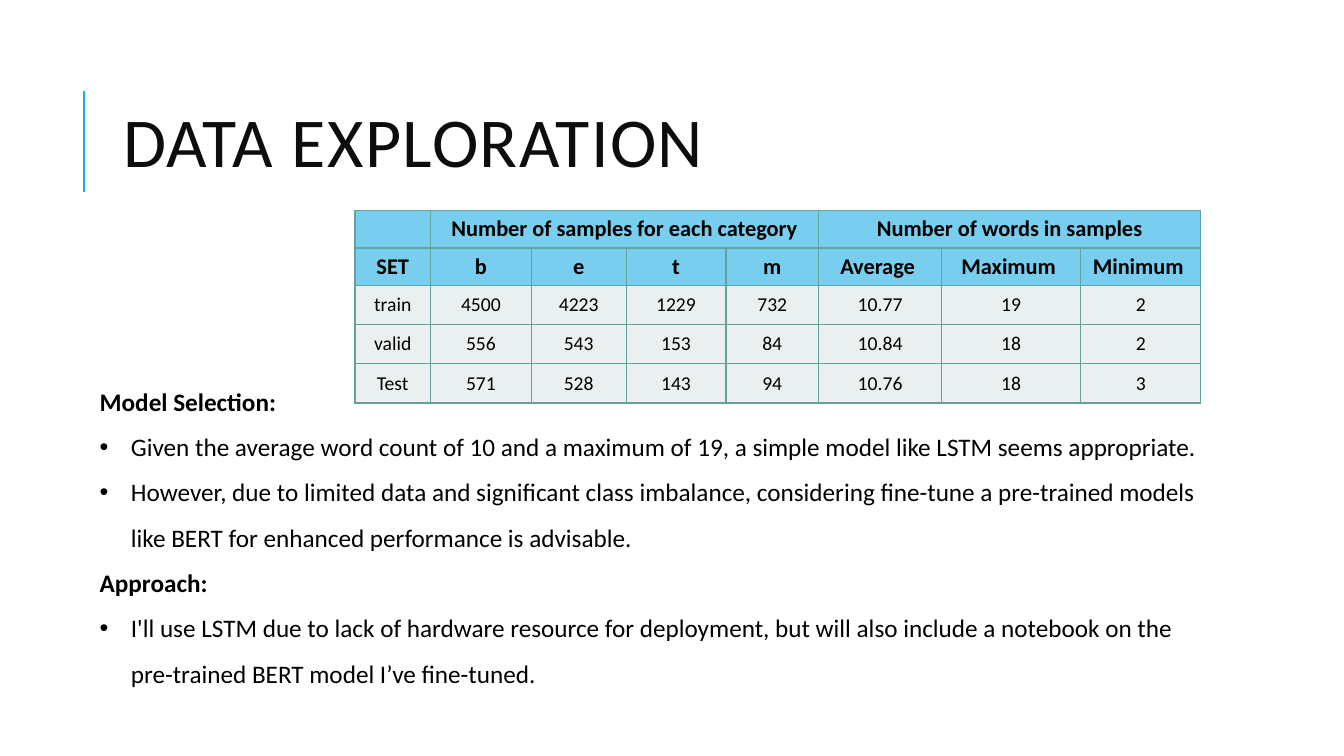
import pptx
import pptx.dml.color
import pptx.enum.shapes
import pptx.enum.text
import pptx.oxml
import pptx.oxml.ns
import pptx.util

PX = 9144  # one hundredth of an inch
ALIGN = pptx.enum.text.PP_ALIGN
ANCHOR = pptx.enum.text.MSO_ANCHOR
FIT = pptx.enum.text.MSO_AUTO_SIZE

COLS = [75, 100, 94, 99, 92, 122, 138, 119]
ROWS = [37, 37, 39, 39, 39]
CELLS = [
    ["", "Number of samples for each category", "", "", "",
     "Number of words in samples", "", ""],
    ["SET", "b", "e", "t", "m", "Average ", "Maximum ", "Minimum "],
    ["train", "4500", "4223", "1229", "732", "10.77", "19", "2"],
    ["valid", "556", "543", "153", "84", "10.84", "18", "2"],
    ["Test", "571", "528", "143", "94", "10.76", "18", "3"],
]
SPANS = [(1, 4), (5, 7)]
NOTES = [
    ("Model Selection:", False),
    ("Given the average word count of 10 and a maximum of 19, a simple model "
     "like LSTM seems appropriate.", True),
    ("However, due to limited data and significant class imbalance, "
     "considering fine-tune a pre-trained models like BERT for enhanced "
     "performance is advisable.", True),
    ("Approach:", False),
    ("I'll use LSTM due to lack of hardware resource for deployment, but will "
     "also include a notebook on the pre-trained BERT model I’ve fine-tuned.",
     True),
]


def px(num):
    return pptx.util.Emu(num * PX)


def color(code):
    return pptx.dml.color.RGBColor.from_string(code)


def apply(item, form):
    for name, value in form.items():
        setattr(item, name, value)


def node(xml):
    """Parse a fragment whose root carries a {ns} slot."""
    return pptx.oxml.parse_xml(xml.format(ns=pptx.oxml.ns.nsdecls("a")))


class Deck:
    font = "Calibri"
    ink = "000000"
    edge = "62A39F"
    head = "77CEEF"
    body = "EAF0F0"

    def __init__(self):
        self.prs = pptx.Presentation()
        apply(self.prs, {"slide_width": px(1333), "slide_height": px(750)})
        self.slide = self.prs.slides.add_slide(self.prs.slide_layouts[5])

    def label(self, para, text, size, bold=False, ink=ink, **form):
        """Add one styled run; extra values format the paragraph."""
        apply(para, form)
        run = para.add_run()
        run.text = text
        apply(run.font, {"name": self.font, "size": pptx.util.Pt(size),
                         "bold": bold})
        run.font.color.rgb = color(ink)
        return run

    def title(self, text, left, top, width, height):
        shape = self.slide.shapes.title
        apply(shape, {"left": px(left), "top": px(top),
                      "width": px(width), "height": px(height)})
        frame = shape.text_frame
        apply(frame, {"vertical_anchor": ANCHOR.MIDDLE, "word_wrap": True,
                      "auto_size": FIT.NONE})
        run = self.label(frame.paragraphs[0], text, 50, ink="0D0D0D",
                         alignment=ALIGN.LEFT, line_spacing=0.8)
        run.font._element.set("spc", "100")

    def line(self, start, end, code, width):
        kind = pptx.enum.shapes.MSO_CONNECTOR.STRAIGHT
        ends = [px(num) for num in (*start, *end)]
        rule = self.slide.shapes.add_connector(kind, *ends)
        rule.line.color.rgb = color(code)
        rule.line.width = pptx.util.Pt(width)
        rule._element.spPr.append(node("<a:effectLst {ns}/>"))

    def border(self, cell):
        props = cell._tc.get_or_add_tcPr()
        for spot, side in enumerate("LRTB"):
            props.insert(spot, node(
                f'<a:ln{side} {{ns}} w="12700"><a:solidFill>'
                f'<a:srgbClr val="{self.edge}"/></a:solidFill></a:ln{side}>'))

    def table(self, cells, left, top, cols, rows, spans, heads=2):
        """Draw a grid whose first row is merged over the given spans."""
        frame = self.slide.shapes.add_table(
            len(rows), len(cols), px(left), px(top),
            px(sum(cols)), px(sum(rows)))
        grid = frame.table
        for col, width in zip(grid.columns, cols):
            col.width = px(width)
        for row, height in zip(grid.rows, rows):
            row.height = px(height)
        for first, last in spans:
            grid.cell(0, first).merge(grid.cell(0, last))
        for r, texts in enumerate(cells):
            top_row = r < heads
            for c, text in enumerate(texts):
                cell = grid.cell(r, c)
                apply(cell, {"margin_left": px(7), "margin_right": px(7),
                             "margin_top": px(3), "margin_bottom": px(3),
                             "vertical_anchor": ANCHOR.MIDDLE})
                cell.fill.solid()
                cell.fill.fore_color.rgb = color(
                    self.head if top_row else self.body)
                self.border(cell)
                if text:
                    self.label(cell.text_frame.paragraphs[0], text,
                               16 if top_row else 14, top_row,
                               alignment=ALIGN.CENTER)

    def bullet(self, para, indent):
        props = para._p.get_or_add_pPr()
        props.set("marL", str(px(indent)))
        props.set("indent", str(px(-indent)))
        props.append(node('<a:buFont {ns} typeface="Arial"/>'))
        props.append(node('<a:buChar {ns} char="•"/>'))

    def notes(self, items, *area):
        """Set bold headings and bulleted points in one text box."""
        box = self.slide.shapes.add_textbox(*[px(num) for num in area])
        frame = box.text_frame
        apply(frame, {"word_wrap": True, "auto_size": FIT.SHAPE_TO_FIT_TEXT})
        for spot, (text, point) in enumerate(items):
            para = frame.add_paragraph() if spot else frame.paragraphs[0]
            self.label(para, text, 18, not point, line_spacing=1.5)
            if point:
                self.bullet(para, 31)


def main():
    deck = Deck()
    deck.line((83, 190), (83, 90), "1CADE4", 1.5)
    deck.title("DATA EXPLORATION", 112, 64, 1063, 164)
    deck.table(CELLS, 352, 209, COLS, ROWS, SPANS)
    deck.notes(NOTES, 89, 363, 1109, 323)
    deck.prs.save("out.pptx")


if __name__ == "__main__":
    main()
